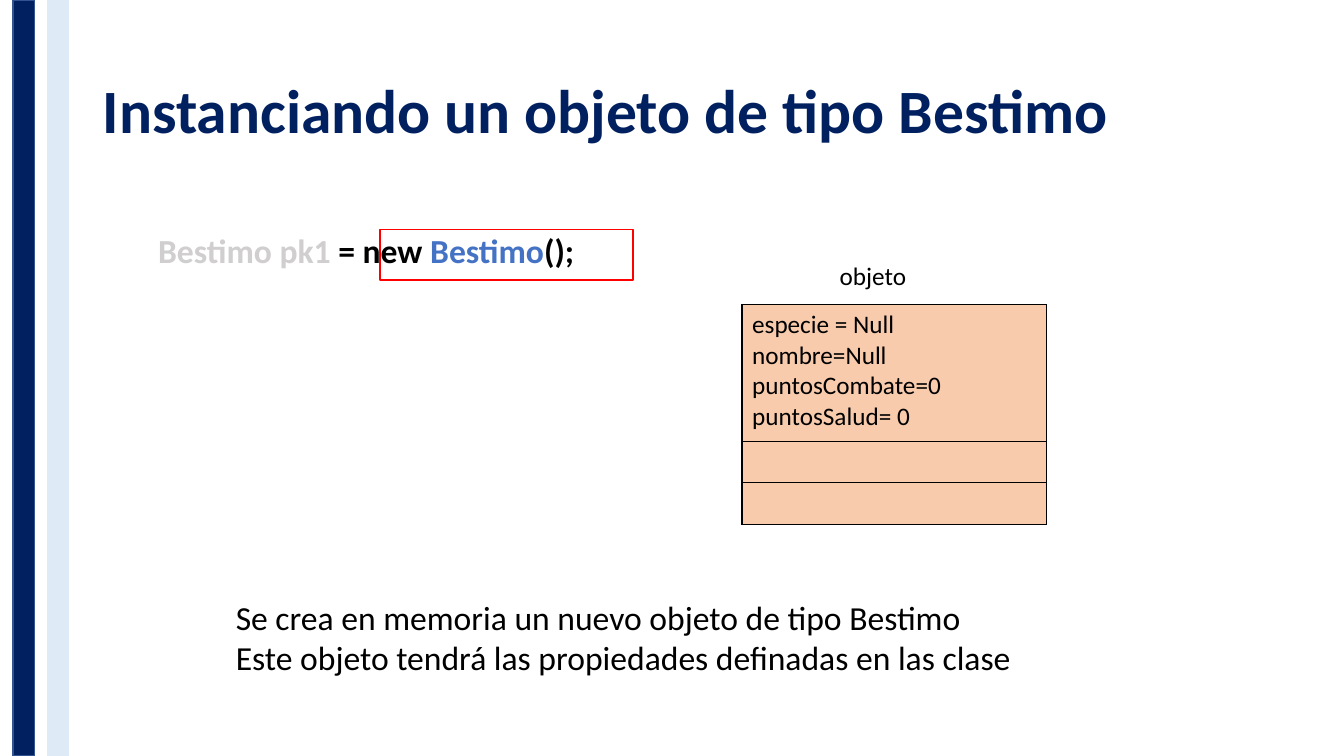
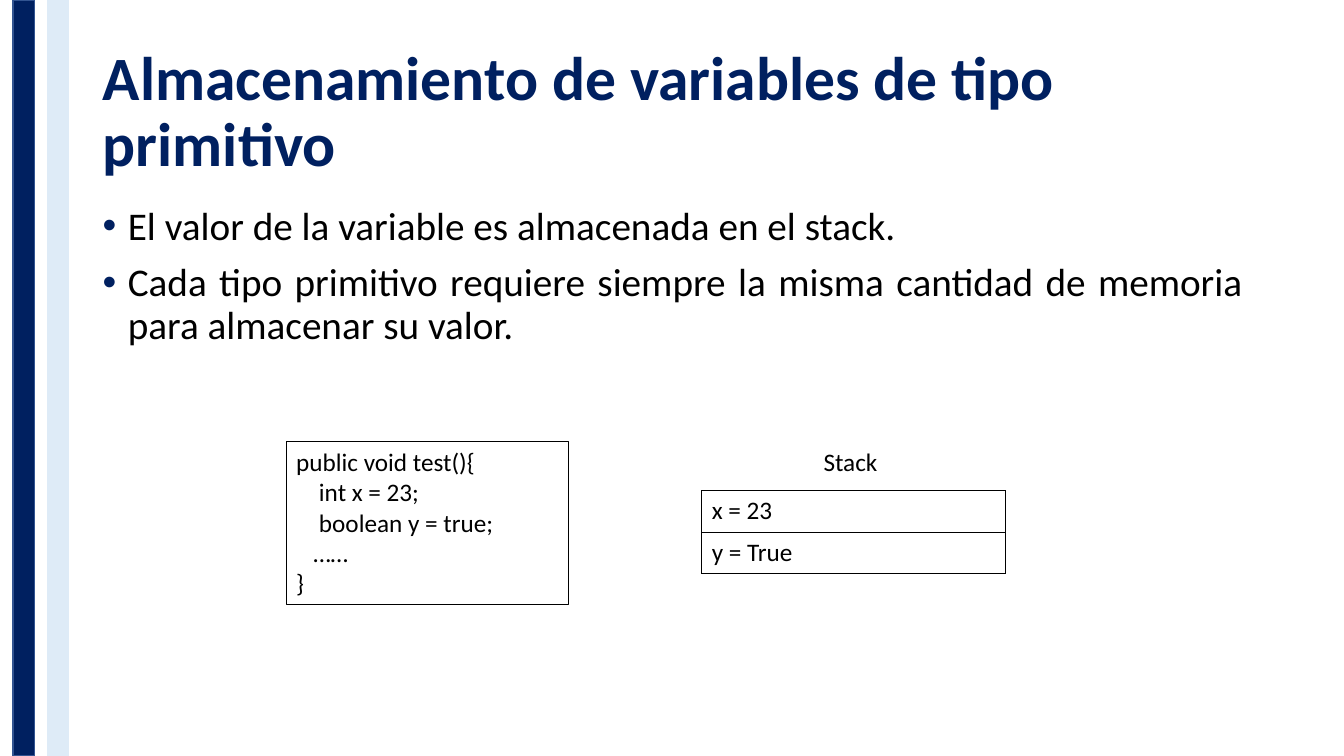
"""Build two slides on objects and primitive variables in memory."""
from lxml.etree import SubElement as Sub
from pptx import Presentation
from pptx.dml.color import RGBColor
from pptx.enum.shapes import MSO_SHAPE as Shape
from pptx.enum.text import MSO_ANCHOR as Anchor, MSO_AUTO_SIZE as Fit, PP_ALIGN as Align
from pptx.oxml.ns import qn
from pptx.util import Inches, Pt

NAVY = RGBColor(0x00, 0x20, 0x60)
EDGE = RGBColor(0x32, 0x54, 0x91)
PALE = RGBColor(0xDE, 0xEB, 0xF7)
PEACH = RGBColor(0xF8, 0xCB, 0xAD)
BLACK = RGBColor(0x00, 0x00, 0x00)
GRAY = RGBColor(0xD0, 0xCE, 0xCE)
BLUE = RGBColor(0x44, 0x72, 0xC4)
RED = RGBColor(0xFF, 0x00, 0x00)
FONT = "Calibri"


def write(frame, lines, size, bold=False):
    """Fill a frame with lines, each a list of (text, colour) runs."""
    frame.word_wrap = True
    for i, line in enumerate(lines):
        para = frame.add_paragraph() if i else frame.paragraphs[0]
        para.alignment = Align.LEFT
        for text, color in line:
            run = para.add_run()
            run.text = text
            run.font.name = FONT
            run.font.size = Pt(size)
            run.font.bold = bold
            run.font.color.rgb = color


def grid(slide, box, rows, fill=None):
    """Add a one-column table from (height, lines) rows."""
    table = slide.shapes.add_table(len(rows), 1, *map(Inches, box)).table
    table.first_row = table.horz_banding = False
    for i, (high, lines) in enumerate(rows):
        table.rows[i].height = Inches(high)
        cell = table.cell(i, 0)
        props = cell._tc.get_or_add_tcPr()
        for side in ("lnL", "lnR", "lnT", "lnB"):
            edge = Sub(props, qn(f"a:{side}"), w=str(Pt(1)))
            Sub(Sub(edge, qn("a:solidFill")), qn("a:srgbClr"), val=str(BLACK))
        if fill:
            cell.fill.solid()
            cell.fill.fore_color.rgb = fill
        else:
            cell.fill.background()
        write(cell.text_frame, [[(text, BLACK)] for text in lines], 18)


deck = Presentation()
deck.slide_width = Inches(13.33)
deck.slide_height = Inches(7.5)
layout = deck.slide_layouts[5]

slides = []
for text in ("Instanciando un objeto de tipo Bestimo",
             "Almacenamiento de variables de tipo primitivo"):
    slide = deck.slides.add_slide(layout)
    title = slide.shapes.title
    title.left, title.top, title.width, title.height = map(Inches, (0.92, 0.4, 11.5, 1.45))
    frame = title.text_frame
    frame.auto_size = Fit.NONE
    frame.vertical_anchor = Anchor.MIDDLE
    write(frame, [[(text, NAVY)]], 44, True)
    frame.paragraphs[0].line_spacing = 0.9
    slides.append(slide)
first, second = slides

tree = layout.shapes.element
for i, (left, fill, line) in enumerate([(0.13, NAVY, EDGE), (0.47, PALE, PALE)]):
    band = first.shapes.add_shape(Shape.RECTANGLE, Inches(left), 0, Inches(0.21), deck.slide_height)
    band.shadow.inherit = False
    band.fill.solid()
    band.fill.fore_color.rgb = fill
    band.line.color.rgb = line
    band.line.width = Pt(1)
    band.element.nvSpPr.cNvPr.set("id", str(20 + i))
    tree.insert(2 + i, band.element)

grid(first, (7.36, 3.02, 3.02, 2.18),
     [(1.36, ["especie = Null", "nombre=Null", "puntosCombate=0", "puntosSalud= 0"]),
      (0.41, []), (0.41, [])], PEACH)
grid(second, (6.96, 4.87, 3.01, 0.82), [(0.41, ["x = 23"]), (0.41, ["y = True"])])

boxes = []
for slide, spot, line, wide in [(first, (3.77, 2.28, 2.51, 0.5), RED, 1),
                                (second, (2.84, 4.38, 2.8, 1.62), BLACK, 0.75)]:
    box = slide.shapes.add_shape(Shape.RECTANGLE, *map(Inches, spot))
    box.shadow.inherit = False
    box.fill.background()
    box.line.color.rgb = line
    box.line.width = Pt(wide)
    boxes.append(box)
code = boxes[1].text_frame
code.vertical_anchor = Anchor.TOP
lines = ["public void test(){", "    int x = 23;", "    boolean y = true;", "   ……", "}"]
write(code, [[(text, BLACK)] for text in lines], 18)

for slide, spot, lines, size, bold in [
    (first, (2.24, 5.87, 9.17, 0.91),
     [[("Se crea en memoria un nuevo objeto de tipo Bestimo", BLACK)],
      [("Este objeto tendrá las propiedades definadas en las clase", BLACK)]], 24, False),
    (first, (8.23, 2.53, 1.73, 0.4), [[("objeto", BLACK)]], 18, False),
    (first, (1.47, 2.23, 7.62, 0.5),
     [[("Bestimo pk1 ", GRAY), ("= new ", BLACK), ("Bestimo", BLUE), ("();", BLACK)]], 24, True),
    (second, (8.07, 4.38, 0.8, 0.4), [[("Stack", BLACK)]], 18, False),
]:
    note = slide.shapes.add_textbox(*map(Inches, spot))
    write(note.text_frame, lines, size, bold)

body = second.shapes.add_textbox(*map(Inches, (0.92, 2, 11.5, 4.76))).text_frame
points = ["El valor de la variable es almacenada en el stack.",
          "Cada tipo primitivo requiere siempre la misma cantidad de memoria para almacenar su valor."]
write(body, [[(text, BLACK)] for text in points], 28)
for i, para in enumerate(body.paragraphs):
    para.alignment = Align.JUSTIFY
    para.line_spacing = 0.9
    para.space_before = Pt(10 if i else 0)
    props = para._p.get_or_add_pPr()
    props.set("marL", str(Inches(0.25)))
    props.set("indent", str(Inches(-0.25)))
    Sub(Sub(props, qn("a:buClr")), qn("a:srgbClr"), val=str(NAVY))
    Sub(props, qn("a:buFont"), typeface="Arial")
    Sub(props, qn("a:buChar"), char="•")

deck.save("out.pptx")
